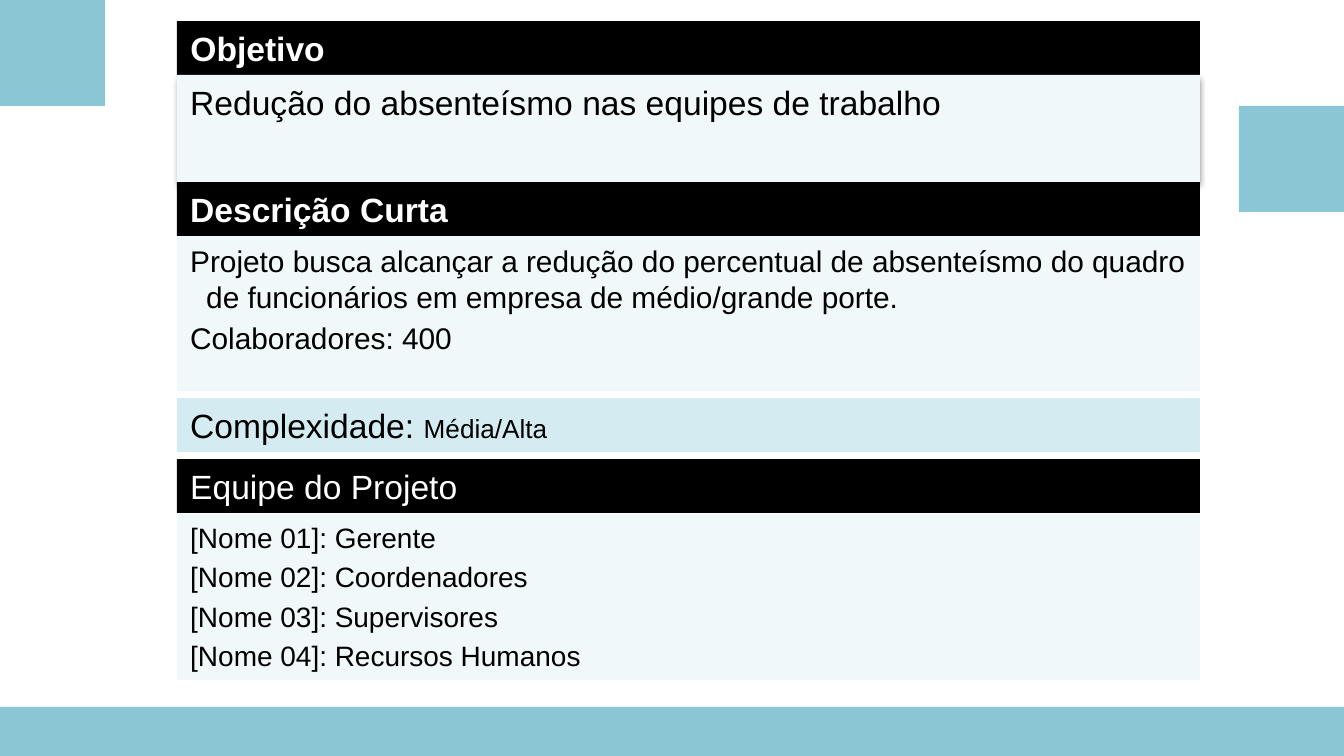
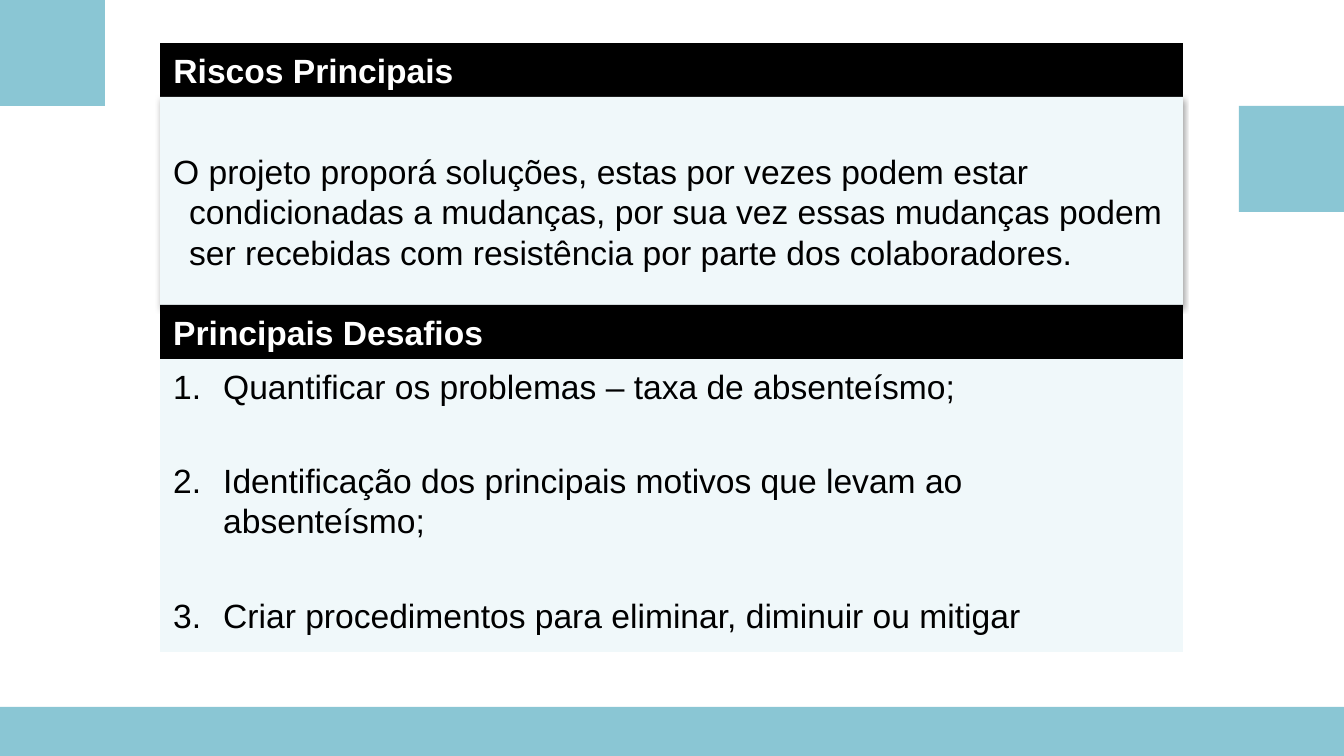
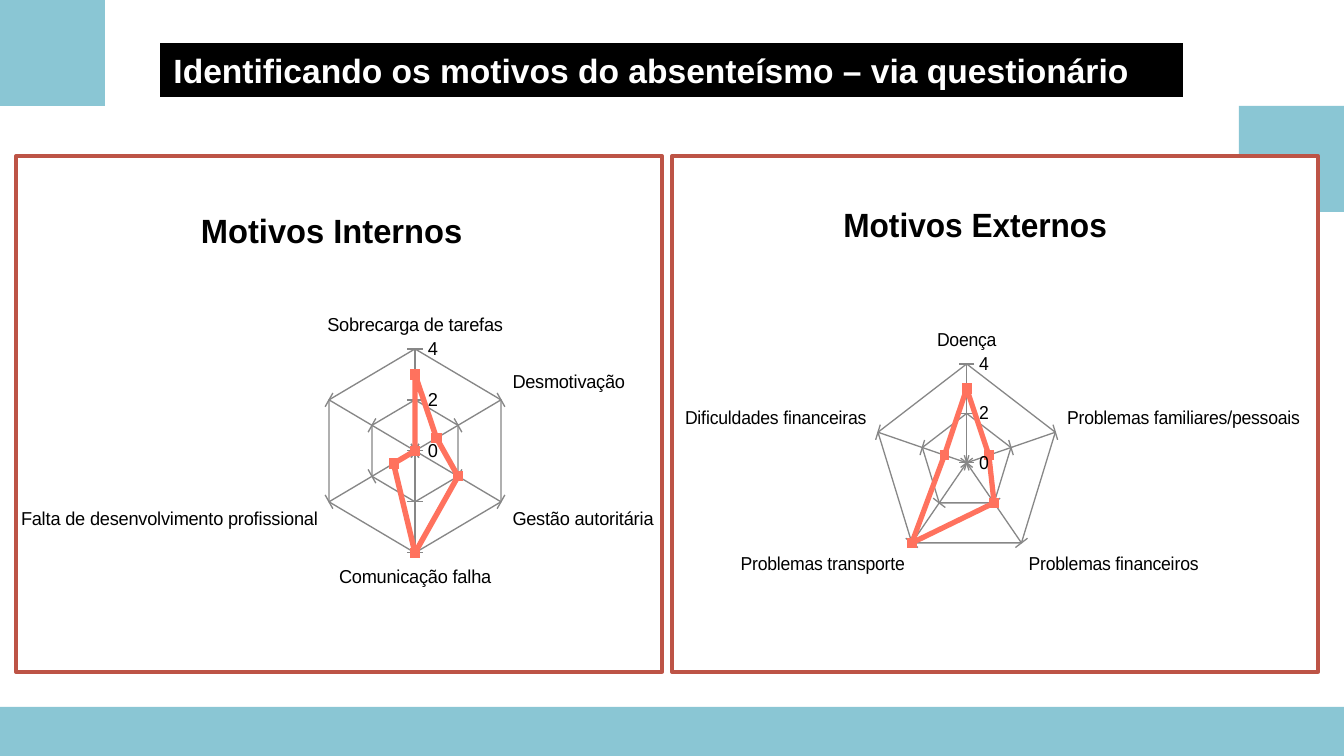
from lxml import etree
from pptx import Presentation
from pptx.chart.data import CategoryChartData
from pptx.dml.color import RGBColor
from pptx.enum.chart import XL_CHART_TYPE as ChartType, XL_MARKER_STYLE as MarkerStyle
from pptx.enum.chart import XL_TICK_MARK as TickMark
from pptx.enum.shapes import MSO_SHAPE as ShapeType
from pptx.enum.text import MSO_ANCHOR as Anchor, MSO_AUTO_SIZE as AutoSize, PP_ALIGN as Align
from pptx.oxml.ns import qn
from pptx.util import Pt

PX = 914400 / 134.4
FONT = "Arial"
COLORS = {name: RGBColor.from_string(code) for name, code in {
    "band": "8AC6D4", "body": "F0F8FA", "highlight": "D3EBF1", "black": "000000",
    "white": "FFFFFF", "frame": "BD5446", "series": "FF725E", "grid": "878787",
}.items()}
HEADER_HEIGHT = 54
BOX_WIDTH = 1023
INDENT = 16
NUMBER_INDENT = 50


def place_box(shape, left, top, width, height, color):
    shape.left, shape.top = round(left * PX), round(top * PX)
    shape.width, shape.height = round(width * PX), round(height * PX)
    shape.fill.solid()
    shape.fill.fore_color.rgb = COLORS[color]
    shape.line.fill.background()
    shape.shadow.inherit = False
    return shape


def write(shape, lines, size, color="black", bold=False, indent=0, gap=0):
    frame = shape.text_frame
    frame.word_wrap = True
    frame.auto_size = AutoSize.NONE
    frame.vertical_anchor = Anchor.TOP
    frame.text = "\n".join(lines)
    for index, paragraph in enumerate(frame.paragraphs):
        paragraph.alignment = Align.LEFT
        paragraph.space_before = Pt(gap if index else 0)
        paragraph.font.name = FONT
        paragraph.font.size = Pt(size)
        paragraph.font.bold = bold
        paragraph.font.color.rgb = COLORS[color]
        properties = paragraph._p.get_or_add_pPr()
        properties.set("marL", str(round(indent * PX)))
        properties.set("indent", str(round(-indent * PX)))


presentation = Presentation()
presentation.slide_width = round(1344 * PX)
presentation.slide_height = round(756 * PX)
title_only = presentation.slide_layouts[5]
slides = [presentation.slides.add_slide(title_only) for _ in range(3)]
summary, risks, reasons = slides

# Bands shared through the master
master_tree = presentation.slide_master.shapes.element
for left, top, width, height in [(0, 0, 105, 106), (0, 707, 1344, 49), (1239, 106, 105, 106)]:
    band = summary.shapes.add_shape(ShapeType.RECTANGLE, 0, 0, 0, 0)
    place_box(band, left, top, width, height, "band")
    master_tree.insert(2, band.element)

# Title bars
for slide, left, top, text in [
    (summary, 177, 21, "Objetivo"),
    (risks, 160, 43, "Riscos Principais"),
    (reasons, 160, 43, "Identificando os motivos do absenteísmo – via questionário"),
]:
    title = place_box(slide.shapes.title, left, top, BOX_WIDTH, HEADER_HEIGHT, "black")
    write(title, [text], 18, "white", bold=True)

# Body boxes: slide, left, top, height, size, gap, indent, lines
bodies = [
    (summary, 177, 75, 107, 18, 4, INDENT, ["Redução do absenteísmo nas equipes de trabalho"]),
    (summary, 177, 236, 155, 16, 3, INDENT, [
        "Projeto busca alcançar a redução do percentual de absenteísmo do quadro "
        "de funcionários em empresa de médio/grande porte.",
        "Colaboradores: 400"]),
    (summary, 177, 514, 166, 15, 3, INDENT, [
        "[Nome 01]: Gerente", "[Nome 02]: Coordenadores",
        "[Nome 03]: Supervisores", "[Nome 04]: Recursos Humanos"]),
    (risks, 160, 97, 208, 18, 4, INDENT, [
        "O projeto proporá soluções, estas por vezes podem estar condicionadas a mudanças, "
        "por sua vez essas mudanças podem ser recebidas com resistência por parte dos "
        "colaboradores."]),
    (risks, 160, 359, 293, 18, 29, NUMBER_INDENT, [
        "Quantificar os problemas – taxa de absenteísmo;",
        "Identificação dos principais motivos que levam ao absenteísmo;",
        "Criar procedimentos para eliminar, diminuir ou mitigar"]),
]
body_boxes = []
for slide, left, top, height, size, gap, indent, lines in bodies:
    body = slide.shapes.add_shape(ShapeType.RECTANGLE, 0, 0, 0, 0)
    place_box(body, left, top, BOX_WIDTH, height, "body")
    write(body, lines, size, indent=indent, gap=gap)
    body_boxes.append(body)
objective, description, team, main_risk, challenges = body_boxes

# The risk text starts one line lower
main_risk.text_frame.margin_top = round(54 * PX)

# Soft shadow under the first body of each text slide
for body in (objective, main_risk):
    effects = body.element.spPr.find(qn("a:effectLst"))
    shadow = etree.SubElement(effects, qn("a:outerShdw"), blurRad=str(Pt(3.1)),
                              dist=str(Pt(1.6)), dir="5400000", rotWithShape="0")
    shadow_color = etree.SubElement(shadow, qn("a:srgbClr"), val=str(COLORS["black"]))
    etree.SubElement(shadow_color, qn("a:alpha"), val="38000")

# Numbered challenges
for paragraph in challenges.text_frame.paragraphs:
    number = etree.Element(qn("a:buAutoNum"), type="arabicPeriod")
    paragraph._p.pPr.find(qn("a:defRPr")).addprevious(number)

# Section headers
for slide, left, top, text, bold in [
    (summary, 177, 182, "Descrição Curta", True),
    (summary, 177, 459, "Equipe do Projeto", False),
    (risks, 160, 305, "Principais Desafios", True),
]:
    header = slide.shapes.add_shape(ShapeType.RECTANGLE, 0, 0, 0, 0)
    place_box(header, left, top, BOX_WIDTH, HEADER_HEIGHT, "black")
    write(header, [text], 18, "white", bold=bold)

# Complexity row
complexity = summary.shapes.add_shape(ShapeType.RECTANGLE, 0, 0, 0, 0)
place_box(complexity, 177, 398, BOX_WIDTH, HEADER_HEIGHT, "highlight")
write(complexity, ["Complexidade: "], 18)
level = complexity.text_frame.paragraphs[0].add_run()
level.text = "Média/Alta"
level.font.size = Pt(14)

# Radar charts: panel left, chart area, title corner, plot area, title, data
charts = [
    (672, (685, 169, 620, 489), (836, 197), (874, 364, 198, 198), "Motivos Externos", {
        "Doença": 3, "Problemas familiares/pessoais": 1, "Problemas financeiros": 2,
        "Problemas transporte": 4, "Dificuldades financeiras": 1}),
    (16, (21, 175, 636, 478), (191, 203), (315, 349, 204, 204), "Motivos Internos", {
        "Sobrecarga de tarefas": 3, "Desmotivação": 1, "Gestão autoritária": 2,
        "Comunicação falha": 4, "Falta de desenvolvimento profissional": 1, " ": 0}),
]
for panel_left, area, title_corner, plot_area, title_text, values in charts:
    panel = reasons.shapes.add_shape(ShapeType.RECTANGLE, 0, 0, 0, 0)
    place_box(panel, panel_left, 156, 646, 516, "white")
    panel.line.color.rgb = COLORS["frame"]
    panel.line.width = Pt(2)

    data = CategoryChartData()
    data.categories = list(values)
    data.add_series("Series 1", list(values.values()))
    chart = reasons.shapes.add_chart(
        ChartType.RADAR_MARKERS, *[round(length * PX) for length in area], data).chart
    chart.has_legend = False
    chart.font.name = FONT
    chart.font.size = Pt(10)
    chart.font.color.rgb = COLORS["black"]

    chart.has_title = True
    chart.chart_title.text_frame.text = title_text
    title_font = chart.chart_title.text_frame.paragraphs[0].font
    title_font.name = FONT
    title_font.size = Pt(18)
    title_font.bold = True
    title_font.color.rgb = COLORS["black"]

    category_axis, value_axis = chart.category_axis, chart.value_axis
    category_axis.major_tick_mark = TickMark.OUTSIDE
    value_axis.major_tick_mark = TickMark.CROSS
    value_axis.minimum_scale, value_axis.maximum_scale = 0, 4
    value_axis.major_unit = 2
    for axis in (category_axis, value_axis):
        axis.has_major_gridlines = True
        for line in (axis.major_gridlines.format.line, axis.format.line):
            line.color.rgb = COLORS["grid"]
            line.width = Pt(0.75)

    plot = chart.plots[0]
    plot.vary_by_categories = False
    series = plot.series[0]
    series.format.line.color.rgb = COLORS["series"]
    series.format.line.width = Pt(3)
    series.marker.style = MarkerStyle.SQUARE
    series.marker.size = 5
    series.marker.format.fill.solid()
    series.marker.format.fill.fore_color.rgb = COLORS["series"]
    series.marker.format.line.color.rgb = COLORS["series"]

    # Fixed places of the title and the plot, as shares of the chart area
    for tag, box in (("c:title", title_corner), ("c:plotArea", plot_area)):
        layout = next(chart.element.iter(qn(tag))).find(qn("c:layout"))
        manual = etree.SubElement(layout, qn("c:manualLayout"))
        if tag == "c:plotArea":
            etree.SubElement(manual, qn("c:layoutTarget"), val="inner")
        for mode in ("c:xMode", "c:yMode"):
            etree.SubElement(manual, qn(mode), val="edge")
        shares = [(box[0] - area[0]) / area[2], (box[1] - area[1]) / area[3]]
        shares += [length / whole for length, whole in zip(box[2:], area[2:])]
        for key, share in zip(("c:x", "c:y", "c:w", "c:h"), shares):
            etree.SubElement(manual, qn(key), val=f"{share:.4f}")

presentation.save("out.pptx")
